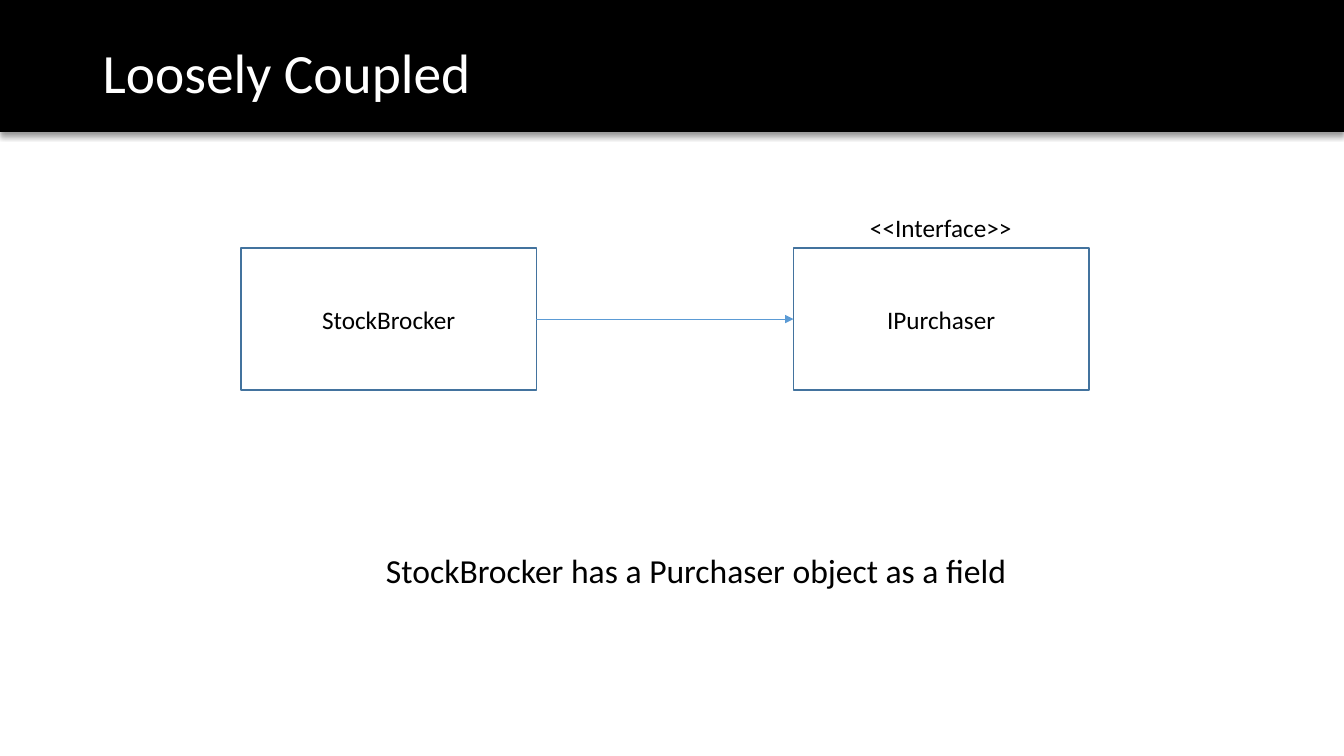
from lxml import etree
from pptx import Presentation
from pptx.dml.color import RGBColor
from pptx.enum.shapes import MSO_CONNECTOR, MSO_SHAPE
from pptx.enum.text import MSO_ANCHOR, PP_ALIGN
from pptx.oxml import parse_xml
from pptx.oxml.ns import nsdecls, qn
from pptx.util import Inches, Pt

RECTANGLE = MSO_SHAPE.RECTANGLE
STRAIGHT = MSO_CONNECTOR.STRAIGHT
TOP, MIDDLE = MSO_ANCHOR.TOP, MSO_ANCHOR.MIDDLE
LEFT, CENTER = PP_ALIGN.LEFT, PP_ALIGN.CENTER

TITLE = "Loosely Coupled"
CLASSES = ["StockBrocker", "IPurchaser"]
STEREOTYPE = "<<Interface>>"
CAPTION = "StockBrocker has a Purchaser object as a field"

THEME = {
    "font": "Calibri",
    "black": RGBColor.from_string("000000"),
    "white": RGBColor.from_string("FFFFFF"),
    "outline": RGBColor.from_string("43739E"),
    "arrow": RGBColor.from_string("5B9BD5"),
    "title_size": Pt(39.6),
    "caption_size": Pt(24),
    "label_size": Pt(18),
}

SLIDE_WIDTH, SLIDE_HEIGHT = 13.33, 7.5
BANNER_HEIGHT = 1.31
CLASS_LEFT, CLASS_TOP = 2.39, 2.46
CLASS_WIDTH, CLASS_HEIGHT = 2.93, 1.41
CLASS_GAP = 2.55


def write(shape, text, size, color, align=LEFT, anchor=TOP, wrap=True):
    frame = shape.text_frame
    frame.word_wrap = wrap
    frame.vertical_anchor = anchor
    para = frame.paragraphs[0]
    para.text = text
    para.alignment = align
    para.font.name = THEME["font"]
    para.font.size = size
    para.font.color.rgb = color
    return para


def add_text(slide, area, *args, **options):
    box = slide.shapes.add_textbox(*map(Inches, area))
    return write(box, *args, **options)


def add_rectangle(slide, area, fill, outline=None):
    shape = slide.shapes.add_shape(RECTANGLE, *map(Inches, area))
    shape.shadow.inherit = False
    shape.fill.solid()
    shape.fill.fore_color.rgb = fill
    if outline is None:
        shape.line.fill.background()
    else:
        shape.line.color.rgb = outline
        shape.line.width = Pt(1)
    return shape


def add_banner(slide):
    banner = add_rectangle(slide, (0, 0, SLIDE_WIDTH, BANNER_HEIGHT), THEME["black"])
    effects = banner.element.spPr.find(qn("a:effectLst"))
    effects.append(parse_xml(
        f'<a:outerShdw {nsdecls("a")} blurRad="{Pt(4)}" dist="{Pt(3)}" dir="5400000" '
        'algn="t" rotWithShape="0"><a:srgbClr val="000000">'
        '<a:alpha val="40000"/></a:srgbClr></a:outerShdw>'))
    title = add_text(slide, (0.92, 0.4, 11.5, 0.91), TITLE,
                     THEME["title_size"], THEME["white"])
    title.line_spacing = 0.9


def add_arrow(slide, start, end, y):
    arrow = slide.shapes.add_connector(
        STRAIGHT, Inches(start), Inches(y), Inches(end), Inches(y))
    arrow.line.color.rgb = THEME["arrow"]
    arrow.line.width = Pt(0.5)
    etree.SubElement(arrow.line._get_or_add_ln(), qn("a:tailEnd"), type="triangle")
    etree.SubElement(arrow.element.spPr, qn("a:effectLst"))


def main():
    deck = Presentation()
    deck.slide_width, deck.slide_height = Inches(SLIDE_WIDTH), Inches(SLIDE_HEIGHT)
    slide = deck.slides.add_slide(deck.slide_layouts[6])

    add_banner(slide)
    add_text(slide, (3.73, 5.41, 7.28, 0.5), CAPTION,
             THEME["caption_size"], THEME["black"])

    lefts = [CLASS_LEFT + index * (CLASS_WIDTH + CLASS_GAP)
             for index in range(len(CLASSES))]
    for name, left in zip(CLASSES, lefts):
        box = add_rectangle(slide, (left, CLASS_TOP, CLASS_WIDTH, CLASS_HEIGHT),
                            THEME["white"], THEME["outline"])
        write(box, name, THEME["label_size"], THEME["black"], CENTER, MIDDLE)

    add_arrow(slide, lefts[0] + CLASS_WIDTH, lefts[1], CLASS_TOP + CLASS_HEIGHT / 2)
    add_text(slide, (8.53, 2.06, 1.62, 0.4), STEREOTYPE,
             THEME["label_size"], THEME["black"], wrap=False)

    deck.save("out.pptx")


if __name__ == "__main__":
    main()
